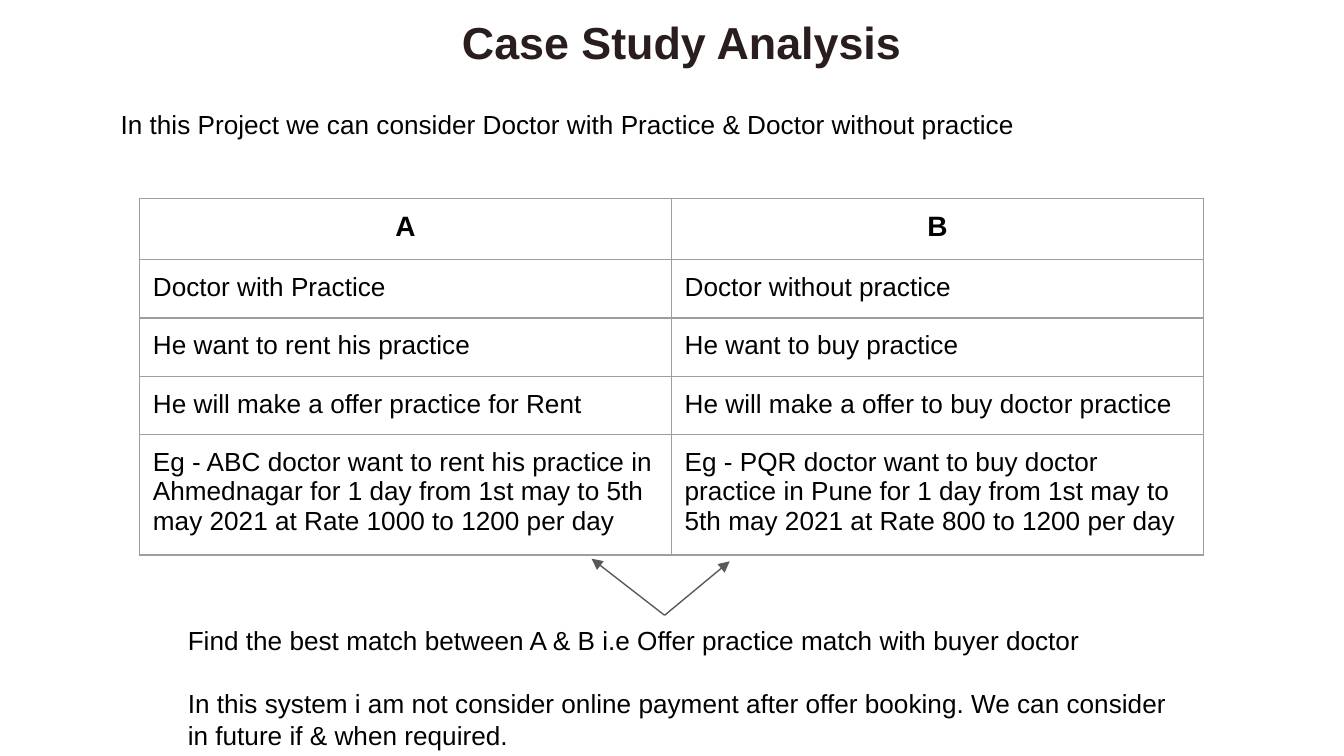
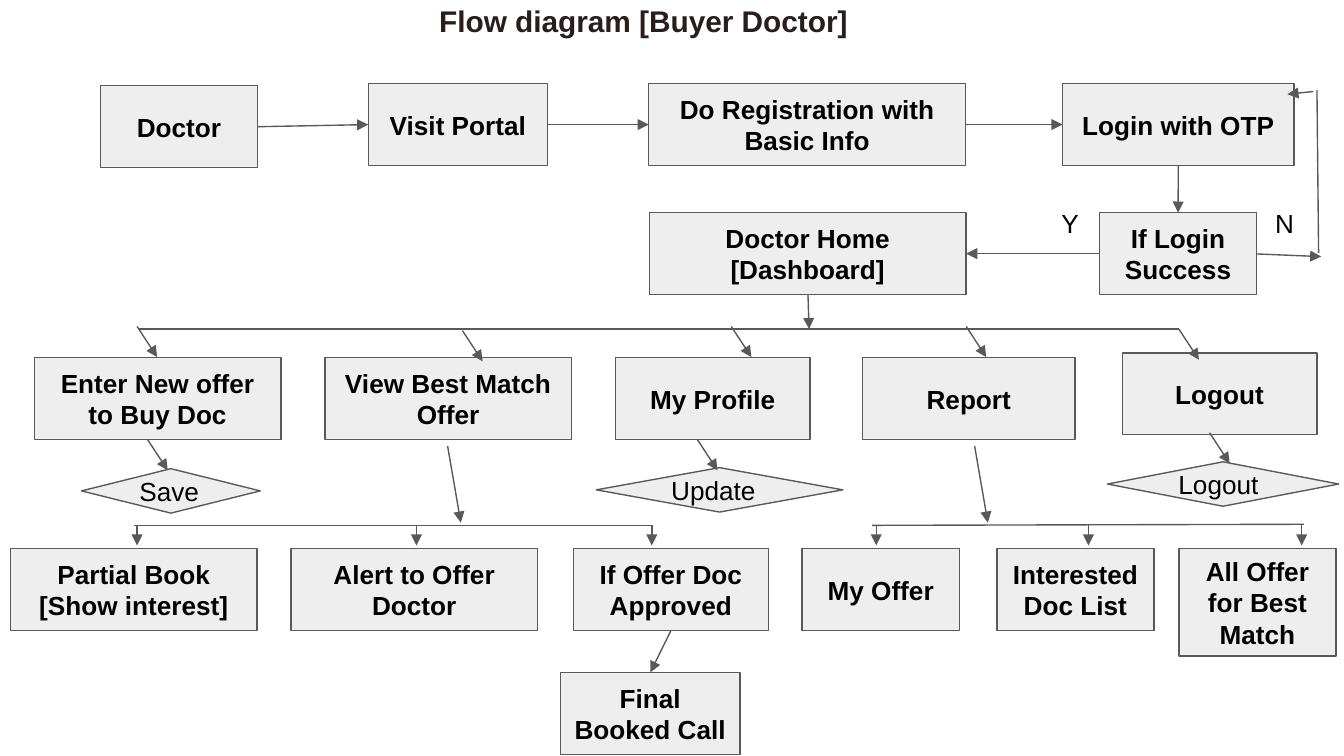
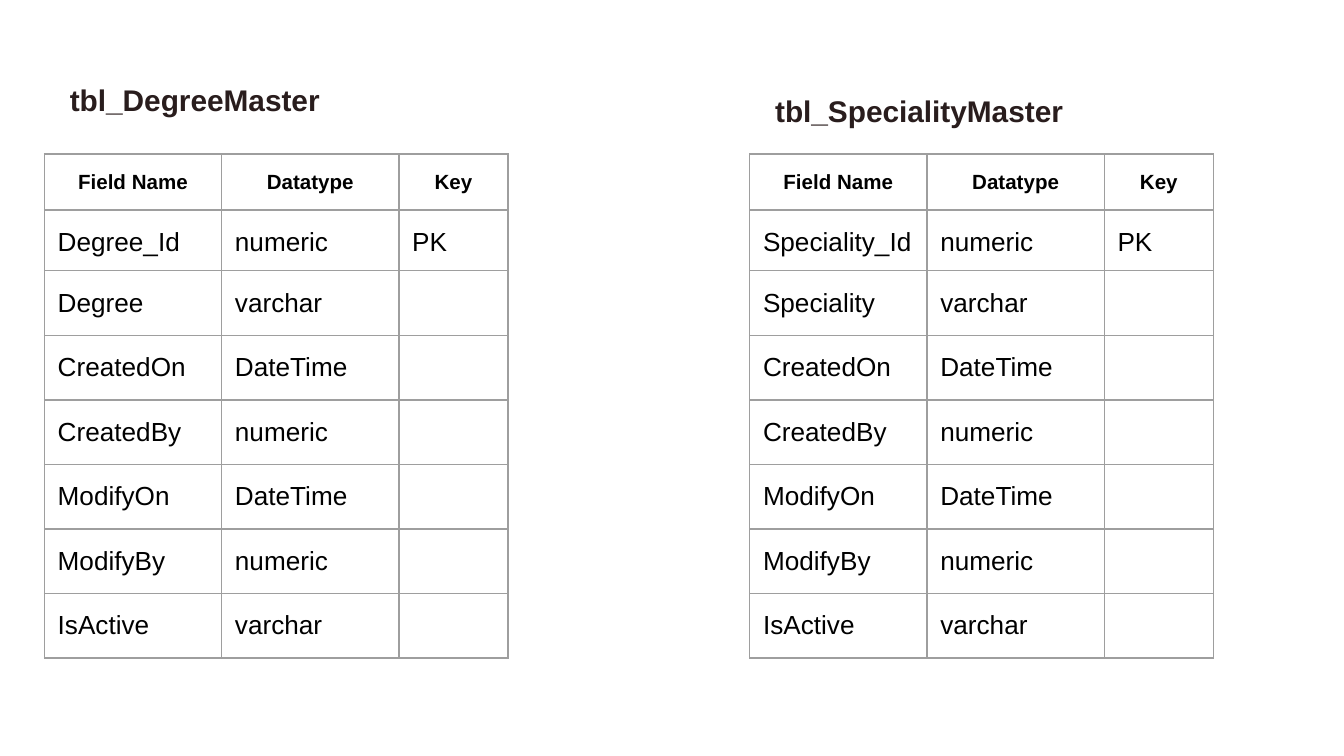
from lxml import etree
from pptx import Presentation
from pptx.dml.color import RGBColor
from pptx.enum.shapes import MSO_CONNECTOR, MSO_SHAPE
from pptx.enum.text import MSO_ANCHOR, MSO_AUTO_SIZE, PP_ALIGN
from pptx.oxml.ns import qn
from pptx.util import Cm, Pt

RECT, DIAMOND = MSO_SHAPE.RECTANGLE, MSO_SHAPE.DIAMOND
STRAIGHT = MSO_CONNECTOR.STRAIGHT
LEFT, CENTER = PP_ALIGN.LEFT, PP_ALIGN.CENTER
TOP, MIDDLE = MSO_ANCHOR.TOP, MSO_ANCHOR.MIDDLE
NO_AUTOFIT = MSO_AUTO_SIZE.NONE
SITE_TOP, SITE_LEFT, SITE_BOTTOM, SITE_RIGHT = range(4)

BLACK = RGBColor(0x00, 0x00, 0x00)
TITLE = RGBColor(0x29, 0x1D, 0x1D)
FILL = RGBColor(0xEE, 0xEE, 0xEE)
LINE = RGBColor(0x59, 0x59, 0x59)
GRID = RGBColor(0x9E, 0x9E, 0x9E)

FONT = "Arial"
INSET = Cm(0.25)
THIN = Pt(0.75)
BOX_H = 1.55
SLANT, LONG, SHORT = (0.38, 0.58), (0.25, 1.45), (0, 0.38)


def write(p, text, size=14, bold=False, color=BLACK, align=LEFT, spacing=None):
    """Write one formatted run into a paragraph."""
    p.alignment = align
    p.line_spacing = spacing
    r = p.add_run()
    r.text = text
    r.font.name, r.font.size, r.font.bold = FONT, Pt(size), bold
    r.font.color.rgb = color


def fill_frame(tf, lines, anchor=TOP, gap=0, **fmt):
    """Set up a text frame and write one paragraph per line."""
    tf.word_wrap = True
    tf.auto_size = NO_AUTOFIT
    tf.vertical_anchor = anchor
    tf.margin_left = tf.margin_right = tf.margin_top = tf.margin_bottom = INSET
    for i, line in enumerate(lines):
        p = tf.add_paragraph() if i else tf.paragraphs[0]
        p.space_before = Pt(gap if i else 0)
        write(p, line, **fmt)


def add_text(s, box, *lines, **fmt):
    """Add a text box."""
    sp = s.shapes.add_textbox(*map(Cm, box))
    fill_frame(sp.text_frame, lines, **fmt)


def set_title(s, box, text, size=16):
    """Move the title placeholder into the box and write it."""
    sp = s.shapes.title
    sp.left, sp.top, sp.width, sp.height = map(Cm, box)
    fill_frame(sp.text_frame, [text], size=size, bold=True, color=TITLE)


def add_node(s, x, y, w, text, h=BOX_H, kind=RECT):
    """Add a flow step: a bold centred box, or a plain diamond."""
    sp = s.shapes.add_shape(kind, Cm(x), Cm(y), Cm(w), Cm(h))
    sp.shadow.inherit = False
    sp.fill.solid()
    sp.fill.fore_color.rgb = FILL
    sp.line.color.rgb = LINE
    sp.line.width = THIN
    is_box = kind == RECT
    fill_frame(sp.text_frame, [text], anchor=MIDDLE, bold=is_box,
               align=CENTER if is_box else LEFT)
    return sp


def add_line(s, x1, y1, x2, y2, arrow=True):
    """Add a straight line, by default with an arrowhead at its end."""
    c = s.shapes.add_connector(STRAIGHT, Cm(x1), Cm(y1), Cm(x2), Cm(y2))
    c.line.color.rgb = LINE
    c.line.width = THIN
    if arrow:
        etree.SubElement(c.line._get_or_add_ln(), qn("a:tailEnd"), type="triangle")
    etree.SubElement(c._element.spPr, qn("a:effectLst"))
    return c


def add_drop(s, x, y, step):
    """Add an arrow that runs by the given step from a point."""
    return add_line(s, x, y, x + step[0], y + step[1])


def join(s, a, site_a, b, site_b):
    """Add an arrow glued to two shapes."""
    c = add_line(s, 0, 0, 1, 1)
    c.begin_connect(a, site_a)
    c.end_connect(b, site_b)


def format_cell(cell, text, **fmt):
    """Draw the cell borders, clear its fill and write its text."""
    tcPr = cell._tc.get_or_add_tcPr()
    for side in ("L", "R", "T", "B"):
        ln = etree.SubElement(tcPr, qn(f"a:ln{side}"), w=str(int(THIN)))
        solid = etree.SubElement(ln, qn("a:solidFill"))
        etree.SubElement(solid, qn("a:srgbClr"), val=str(GRID))
    cell.fill.background()
    if text:
        cell.margin_left = cell.margin_right = INSET
        cell.margin_top = cell.margin_bottom = INSET
        write(cell.text_frame.paragraphs[0], text, **fmt)


def add_grid(s, left, top, widths, heights, rows, head_size, spacing=None):
    """Add a bordered table with a bold centred header row."""
    box = left, top, sum(widths), sum(heights)
    frame = s.shapes.add_table(len(rows), len(widths), *map(Cm, box))
    table = frame.table
    table.first_row = table.horz_banding = False
    for col, w in zip(table.columns, widths):
        col.width = Cm(w)
    for i, (row, h) in enumerate(zip(rows, heights)):
        table.rows[i].height = Cm(h)
        fmt = {} if i else {"size": head_size, "bold": True, "align": CENTER}
        for j, text in enumerate(row):
            format_cell(table.cell(i, j), text, spacing=spacing, **fmt)


def add_match_arrows(s, x, y):
    """Add the two arrows that rise from one point to the columns."""
    add_line(s, x, y, x - 1.38, y - 1.07)
    add_line(s, x, y, x + 1.23, y - 1.02)


def case_study(s):
    """Build the slide that compares the two kinds of doctor."""
    set_title(s, (8.48, 0.03, 9.93, 1.32), "Case Study Analysis", size=24)
    add_text(s, (2.03, 1.8, 22.48, 1.12),
             "In this Project we can consider Doctor with Practice & Doctor without practice")
    rows = [
        ("A", "B"),
        ("Doctor with Practice", "Doctor without practice"),
        ("He want to rent his practice", "He want to buy practice"),
        ("He will make a offer practice for Rent",
         "He will make a offer to buy doctor practice"),
        ("Eg - ABC doctor want to rent his practice in Ahmednagar for 1 day "
         "from 1st may to 5th may 2021 at Rate 1000 to 1200 per day",
         "Eg - PQR doctor want to buy doctor practice in Pune for 1 day "
         "from 1st may to 5th may 2021 at Rate 800 to 1200 per day"),
    ]
    add_grid(s, 2.64, 3.75, [10.05] * 2, [1.16] + [1.1] * 3 + [2.28], rows, 15)
    add_text(s, (3.3, 11.56, 19.35, 2.9),
             "Find the best match between A & B i.e Offer practice match with buyer doctor",
             "In this system i am not consider online payment after offer booking. "
             "We can consider in future if & when required.", gap=17)
    add_match_arrows(s, 12.56, 11.63)


def login_steps(s, left, top):
    """Place the steps from the first visit to the dashboard."""
    steps = [
        ("Doctor", 0, 0.04, 2.97),
        ("Visit Portal", 5.06, 0, 3.39),
        ("Do Registration with Basic Info", 10.36, 0, 5.99),
        ("Login with OTP", 18.18, 0, 4.38),
        ("If Login Success", 18.88, 2.44, 2.97),
        ("Doctor Home [Dashboard]", 10.37, 2.44, 5.99),
    ]
    nodes = [add_node(s, left + x, top + y, w, text) for text, x, y, w in steps]
    doctor, visit, register, login, check, home = nodes
    for a, b in ((doctor, visit), (visit, register), (register, login)):
        join(s, a, SITE_RIGHT, b, SITE_LEFT)
    join(s, login, SITE_BOTTOM, check, SITE_TOP)
    join(s, check, SITE_LEFT, home, SITE_RIGHT)
    add_drop(s, left + 13.37, top + 3.99, (0.02, 0.65))
    add_line(s, left + 22.99, top + 0.12, left + 23.02, top + 3.2, arrow=False)
    add_drop(s, left + 21.85, top + 3.22, (1.22, 0.05))
    add_drop(s, left + 22.92, top + 0.15, (-0.49, 0.05))
    for label, x in (("Y", 17.91), ("N", 21.95)):
        add_text(s, (left + x, top + 2.1, 0.91, 1.02), label)


def menu(s, left, top):
    """Place the dashboard menu and the actions below it."""
    items = [
        ("Enter New offer to Buy Doc", 0, 0.59, 4.66),
        ("View Best Match Offer", 5.49, 0.59, 4.66),
        ("My Profile", 10.98, 0.59, 3.68),
        ("Report", 15.65, 0.59, 4.02),
        ("Logout", 20.56, 0.5, 3.68),
    ]
    actions = [
        ("Save", 0.89, 2.69, 3.38),
        ("Update", 10.62, 2.67, 4.66),
        ("Logout", 20.28, 2.56, 4.37),
    ]
    drops = [
        (SLANT, [(1.94, 0), (8.09, 0.08), (13.17, 0), (17.61, 0), (21.63, 0.05),
                 (2.14, 2.14), (12.53, 2.14), (22.21, 2.01)]),
        (LONG, [(7.81, 2.26), (17.77, 2.26)]),
    ]
    for text, x, y, w in items:
        add_node(s, left + x, top + y, w, text)
    for text, x, y, w in actions:
        add_node(s, left + x, top + y, w, text, h=0.84, kind=DIAMOND)
    add_line(s, left + 1.97, top + 0.05, left + 21.63, top + 0.05, arrow=False)
    for step, starts in drops:
        for x, y in starts:
            add_drop(s, left + x, top + y, step)


def outcomes(s, left, top):
    """Place the results of the match and of the report."""
    results = [
        ("Partial Book [Show interest]", 0, 4.66, BOX_H, 2.39),
        ("Alert to Offer Doctor", 5.3, 4.66, BOX_H, 7.67),
        ("If Offer Doc Approved", 10.64, 3.68, BOX_H, 12.12),
        ("My Offer", 14.96, 2.97, BOX_H, 16.36),
        ("Interested Doc List", 18.64, 2.97, BOX_H, 20.37),
        ("All Offer for Best Match", 22.08, 2.97, 2.03, 24.4),
    ]
    nodes = []
    for text, x, w, h, drop_x in results:
        nodes.append(add_node(s, left + x, top + 0.44, w, text, h=h))
        add_drop(s, left + drop_x, top, SHORT)
    for x1, x2, rise in ((2.34, 12.12, 0), (16.28, 24.44, 0.02)):
        add_line(s, left + x1, top, left + x2, top - rise, arrow=False)
    final = add_node(s, left + 10.39, top + 2.78, 3.4, "Final Booked Call")
    join(s, nodes[2], SITE_BOTTOM, final, SITE_TOP)


def flow_diagram(s):
    """Build the slide with the buyer's flow."""
    set_title(s, (8.05, -0.2, 9.93, 0.84), "Flow diagram [Buyer Doctor]")
    login_steps(s, 1.9, 1.58)
    menu(s, 0.65, 6.17)
    outcomes(s, 0.2, 9.93)


def field_table(s, left, top, name):
    """Place the field list of one master table."""
    rows = [
        ("Field Name", "Datatype", "Key"),
        (f"{name}_Id", "numeric", "PK"),
        (name, "varchar", ""),
        ("CreatedOn", "DateTime", ""),
        ("CreatedBy", "numeric", ""),
        ("ModifyOn", "DateTime", ""),
        ("ModifyBy", "numeric", ""),
        ("IsActive", "varchar", ""),
    ]
    add_grid(s, left, top, [3.35, 3.35, 2.06], [1.06, 1.15] + [1.22] * 6, rows, 11,
             spacing=1.15)


def master_tables(s):
    """Build the slide with the two master tables."""
    field_table(s, 0.84, 2.91, "Degree")
    field_table(s, 14.17, 2.91, "Speciality")
    set_title(s, (1.07, 1.3, 7.92, 0.84), "tbl_DegreeMaster")
    add_text(s, (14.4, 1.5, 7.92, 0.84), "tbl_SpecialityMaster",
             size=16, bold=True, color=TITLE)


def main():
    """Build and save the presentation."""
    prs = Presentation()
    prs.slide_width, prs.slide_height = Cm(25.4), Cm(14.29)
    title_only = prs.slide_layouts[5]
    for build in (case_study, flow_diagram, master_tables):
        build(prs.slides.add_slide(title_only))
    prs.save("out.pptx")


if __name__ == "__main__":
    main()
